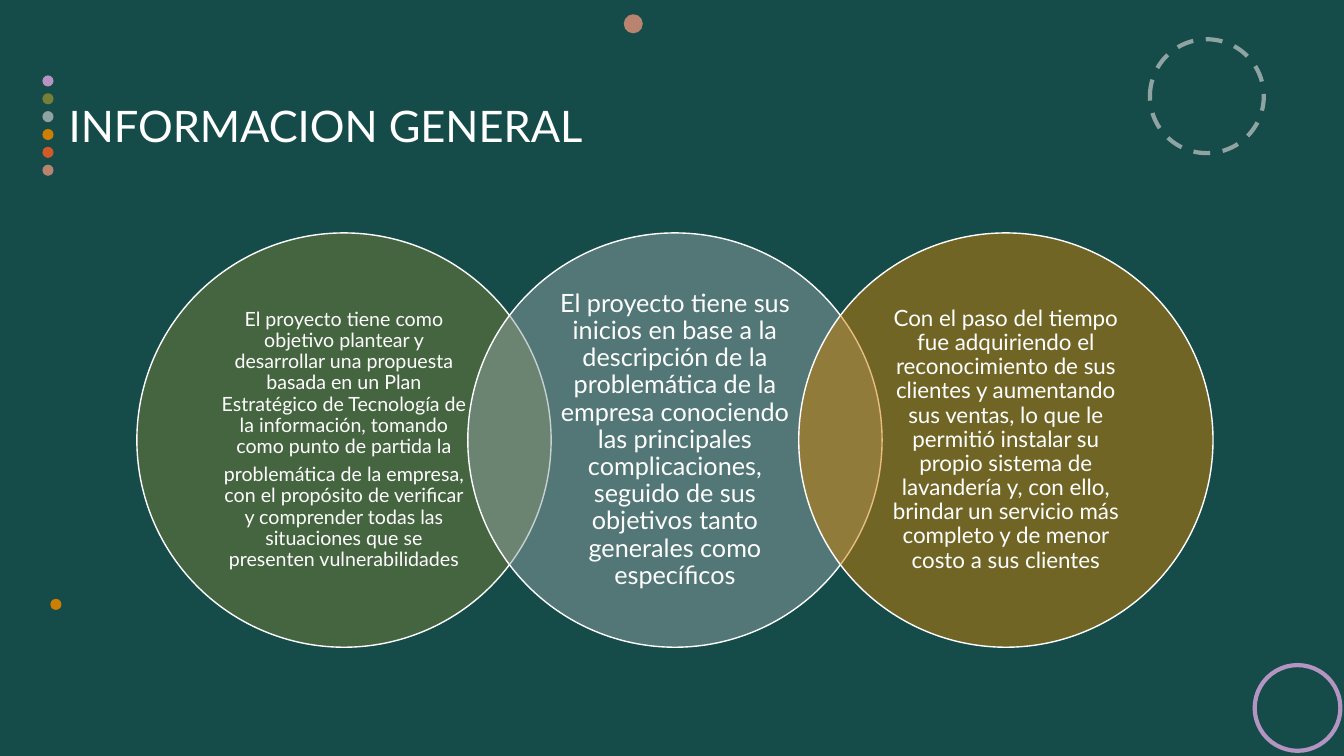
from dataclasses import dataclass
from typing import Any, Optional

from lxml.etree import SubElement
from pptx import Presentation
from pptx.dml.color import RGBColor
from pptx.enum.dml import MSO_LINE
from pptx.enum.shapes import MSO_SHAPE
from pptx.enum.text import MSO_ANCHOR, MSO_AUTO_SIZE, PP_ALIGN
from pptx.oxml.ns import qn
from pptx.util import Cm, Pt

TEAL = RGBColor(0x15, 0x4C, 0x4A)
WHITE = RGBColor(0xFF, 0xFF, 0xFF)
LILAC = RGBColor(0xB4, 0x95, 0xC2)
OLIVE = RGBColor(0x76, 0x7E, 0x37)
GREY = RGBColor(0x8F, 0xA3, 0xA3)
AMBER = RGBColor(0xCE, 0x7F, 0x01)
RUST = RGBColor(0xD1, 0x5A, 0x29)
ROSE = RGBColor(0xB8, 0x84, 0x70)

DOT_SIZE = 0.28
DOT_STEP = 0.45
TOPIC_SIZE = 10.44
TOPIC_STEP = 8.34


@dataclass(frozen=True)
class Circle:
    left: float
    top: float
    size: float
    fill: Optional[RGBColor] = None
    line: Optional[RGBColor] = None
    line_width: float = 3
    dash: Optional[MSO_LINE] = None


@dataclass(frozen=True)
class Topic:
    color: RGBColor
    font_size: int
    paragraphs: tuple[str, ...]


DECORATIONS = [
    Circle(1.07, 1.9 + row * DOT_STEP, DOT_SIZE, fill=color)
    for row, color in enumerate((LILAC, OLIVE, GREY, AMBER, RUST, ROSE))
] + [
    Circle(28.98, 0.99, 2.87, line=GREY, dash=MSO_LINE.DASH),
    Circle(15.72, 0.36, 0.48, fill=ROSE),
    Circle(1.27, 15.09, DOT_SIZE, fill=AMBER),
    Circle(31.62, 16.76, 2.16, line=LILAC),
]

TOPICS = [
    Topic(OLIVE, 14, (
        "El proyecto tiene como objetivo plantear y desarrollar una propuesta "
        "basada en un Plan Estratégico de Tecnología de la información, "
        "tomando como punto de partida la",
        "problemática de la empresa, con el propósito de verificar y "
        "comprender todas las situaciones que se presenten vulnerabilidades",
    )),
    Topic(GREY, 18, (
        "El proyecto tiene sus inicios en base a la descripción de la "
        "problemática de la empresa conociendo las principales "
        "complicaciones, seguido de sus objetivos tanto generales como "
        "específicos",
    )),
    Topic(AMBER, 16, (
        "Con el paso del tiempo fue adquiriendo el reconocimiento de sus "
        "clientes y aumentando sus ventas, lo que le permitió instalar su "
        "propio sistema de lavandería y, con ello, brindar un servicio más "
        "completo y de menor costo a sus clientes",
    )),
]


def apply_format(target: Any, values: dict[str, Any]) -> None:
    for attribute, value in values.items():
        setattr(target, attribute, value)


def format_font(font: Any, size: int) -> None:
    apply_format(font, {"name": "Lato", "size": Pt(size)})
    font.color.rgb = WHITE


def draw_circle(slide: Any, circle: Circle) -> Any:
    oval = slide.shapes.add_shape(
        MSO_SHAPE.OVAL, Cm(circle.left), Cm(circle.top),
        Cm(circle.size), Cm(circle.size))
    oval.shadow.inherit = False
    if circle.fill is None:
        oval.fill.background()
    else:
        oval.fill.solid()
        oval.fill.fore_color.rgb = circle.fill
    if circle.line is None:
        oval.line.fill.background()
    else:
        oval.line.color.rgb = circle.line
        apply_format(oval.line, {"width": Pt(circle.line_width),
                                 "dash_style": circle.dash})
    return oval


def draw_topic(slide: Any, topic: Topic, column: int) -> None:
    oval = draw_circle(slide, Circle(
        3.45 + column * TOPIC_STEP, 5.87, TOPIC_SIZE,
        fill=topic.color, line=WHITE, line_width=1))
    fill_color = oval.fill._xPr.find(qn("a:solidFill"))[0]
    SubElement(fill_color, qn("a:alpha"), val="50000")
    frame = oval.text_frame
    apply_format(frame, {
        "word_wrap": True, "vertical_anchor": MSO_ANCHOR.MIDDLE,
        "margin_left": Cm(0.57), "margin_right": Cm(0.57),
        "margin_top": Cm(0.05), "margin_bottom": Cm(0.05)})
    frame.text = "\n".join(topic.paragraphs)
    for paragraph in frame.paragraphs:
        apply_format(paragraph, {
            "alignment": PP_ALIGN.CENTER, "line_spacing": 0.9,
            "space_after": Pt(round(topic.font_size * 0.35, 1))})
        format_font(paragraph.font, topic.font_size)


def write_title(slide: Any, wording: str) -> None:
    title = slide.shapes.title
    apply_format(title, {"left": Cm(1.73), "top": Cm(1.24),
                         "width": Cm(27.94), "height": Cm(3.81)})
    frame = title.text_frame
    frame.text = wording
    apply_format(frame, {
        "word_wrap": True, "auto_size": MSO_AUTO_SIZE.NONE,
        "vertical_anchor": MSO_ANCHOR.MIDDLE,
        "margin_left": 0, "margin_right": 0,
        "margin_top": 0, "margin_bottom": 0})
    heading = frame.paragraphs[0]
    heading.alignment = PP_ALIGN.LEFT
    format_font(heading.font, 31)


def main() -> None:
    presentation = Presentation()
    apply_format(presentation, {"slide_width": Cm(33.87),
                                "slide_height": Cm(19.05)})
    slide = presentation.slides.add_slide(presentation.slide_layouts[5])
    slide.background.fill.solid()
    slide.background.fill.fore_color.rgb = TEAL
    for decoration in DECORATIONS:
        draw_circle(slide, decoration)
    for column, topic in enumerate(TOPICS):
        draw_topic(slide, topic, column)
    write_title(slide, "INFORMACION GENERAL")
    presentation.save("out.pptx")


if __name__ == "__main__":
    main()
